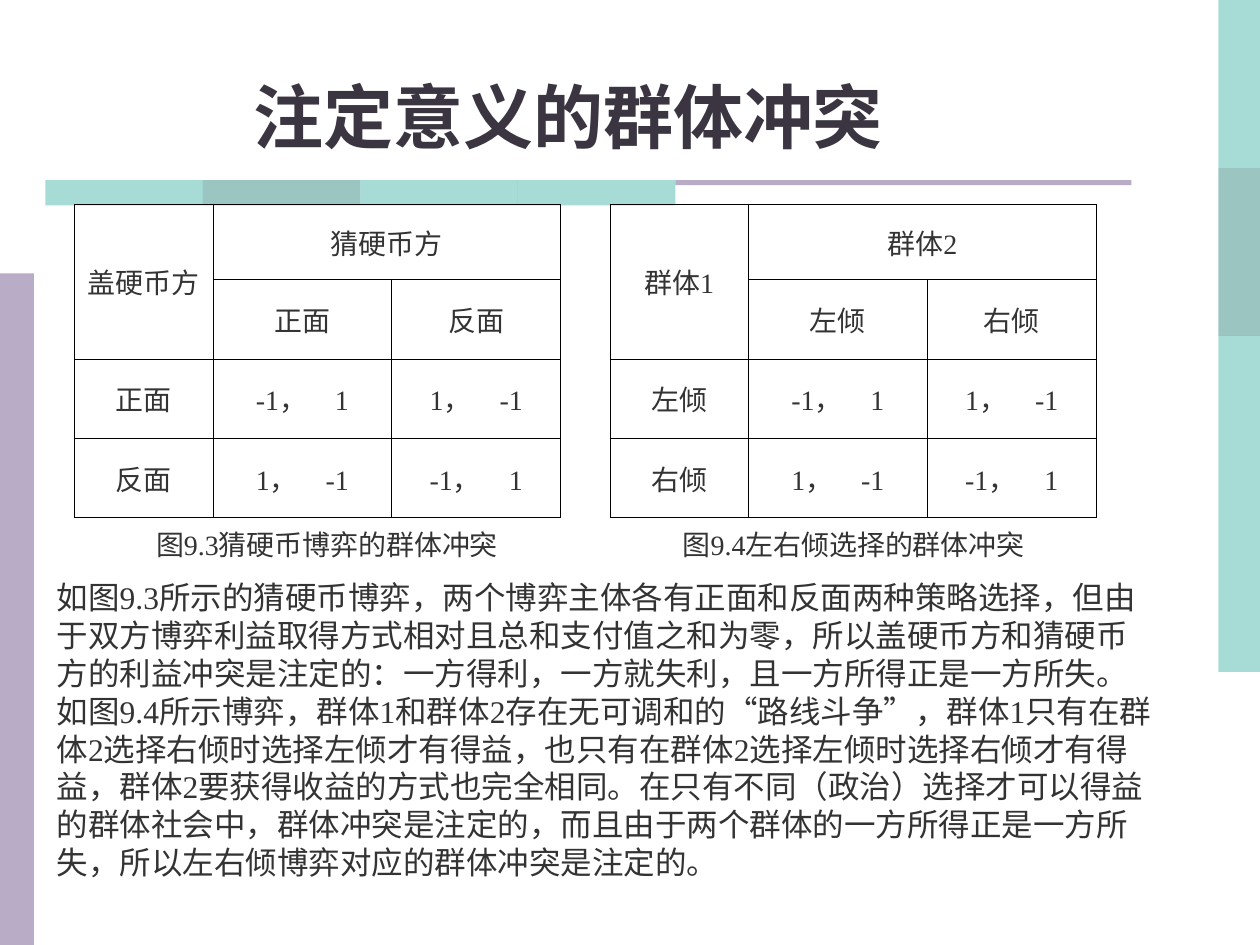
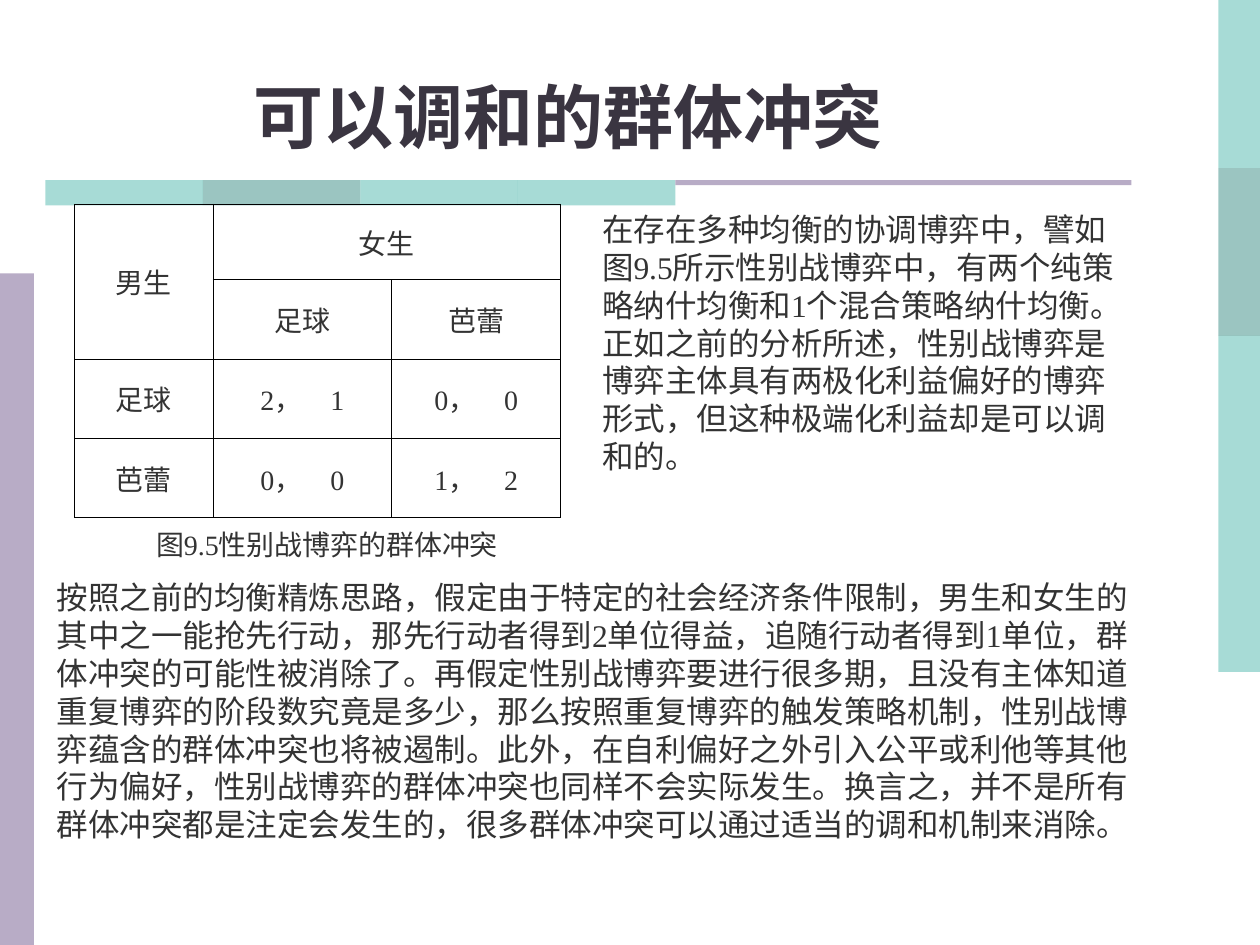
import dataclasses

import lxml.etree
import pptx
import pptx.dml.color
import pptx.enum.shapes
import pptx.enum.text
import pptx.oxml.ns
import pptx.util

Inches = pptx.util.Inches
Pt = pptx.util.Pt
RGB = pptx.dml.color.RGBColor.from_string
ALIGN = pptx.enum.text.PP_ALIGN
ANCHOR = pptx.enum.text.MSO_ANCHOR
AUTO_SIZE = pptx.enum.text.MSO_AUTO_SIZE
qn = pptx.oxml.ns.qn


@dataclasses.dataclass(frozen=True)
class Theme:
    teal: str = "51B9AF"
    dark_teal: str = "398D85"
    lilac: str = "B8ACC6"
    heading: str = "3A3541"
    text: str = "333333"
    border: str = "000000"
    font: str = "Times New Roman"
    quote_font: str = "Roboto Slab"
    title_size: int = 40
    body_size: int = 18
    table_size: int = 16
    border_width: float = 0.45
    tile_alpha: int = 50


class Deck:
    def __init__(self, theme):
        self.theme = theme
        self.prs = pptx.Presentation()
        self.prs.slide_width = Inches(10)
        self.prs.slide_height = Inches(7.5)
        self.s = None

    def slide(self, title):
        self.s = self.prs.slides.add_slide(self.prs.slide_layouts[1])
        self.bands()
        self.title(title)

    def bands(self):
        t = self.theme
        for i, color in enumerate((t.teal, t.dark_teal, t.teal, t.teal)):
            self.rect(9.67, i * 4 / 3, 0.33, 4 / 3, color, t.tile_alpha)
            self.rect(0.36 + i * 1.25, 1.43, 1.25, 0.2, color, t.tile_alpha)
        self.rect(0, 2.17, 0.27, 5.33, t.lilac)
        self.rect(5.36, 1.43, 3.62, 0.04, t.lilac)

    def rect(self, left, top, width, height, color, alpha=None):
        sp = self.s.shapes.add_shape(
            pptx.enum.shapes.MSO_SHAPE.RECTANGLE,
            Inches(left), Inches(top), Inches(width), Inches(height))
        sp.shadow.inherit = False
        sp.line.fill.background()
        sp.fill.solid()
        sp.fill.fore_color.rgb = RGB(color)
        if alpha:
            clr = sp.element.spPr.find(".//" + qn("a:srgbClr"))
            lxml.etree.SubElement(clr, qn("a:alpha"), val=str(alpha * 1000))

    def place(self, sp, left, top, width, height):
        sp.left, sp.top = Inches(left), Inches(top)
        sp.width, sp.height = Inches(width), Inches(height)

    def run(self, p, text, size, color=None, bold=False, font=None):
        r = p.add_run()
        r.text = text
        r.font.name = font or self.theme.font
        r.font.size = Pt(size)
        r.font.bold = bold
        r.font.color.rgb = RGB(color or self.theme.text)

    def title(self, text):
        sp = self.s.shapes.title
        self.place(sp, 0, 0.44, 9.02, 0.86)
        tf = sp.text_frame
        tf.auto_size = AUTO_SIZE.NONE
        tf.vertical_anchor = ANCHOR.BOTTOM
        p = tf.paragraphs[0]
        p.alignment = ALIGN.CENTER
        self.run(p, text, self.theme.title_size, self.theme.heading, True)

    def body(self, height, *paragraphs):
        sp = self.s.placeholders[1]
        self.place(sp, 0.35, 4.54, 8.9, height)
        tf = sp.text_frame
        tf.auto_size = AUTO_SIZE.SHAPE_TO_FIT_TEXT
        for i, runs in enumerate(paragraphs):
            p = tf.add_paragraph() if i else tf.paragraphs[0]
            p.space_before = Pt(0)
            pPr = p._p.get_or_add_pPr()
            pPr.set("marL", "0")
            pPr.set("indent", "0")
            lxml.etree.SubElement(pPr, qn("a:buNone"))
            for text, font in runs:
                self.run(p, text, self.theme.body_size, font=font)

    def textbox(self, left, top, width, height, text, size, wrap=True):
        sp = self.s.shapes.add_textbox(
            Inches(left), Inches(top), Inches(width), Inches(height))
        tf = sp.text_frame
        tf.word_wrap = wrap
        tf.auto_size = AUTO_SIZE.SHAPE_TO_FIT_TEXT
        self.run(tf.paragraphs[0], text, size)

    def caption(self, left, text):
        self.textbox(left, 4.14, 3.02, 0.37, text, self.theme.table_size, False)

    def game(self, left, row_player, col_player, choices, payoffs):
        widths, heights = (1.1, 1.42, 1.34), (0.6, 0.63, 0.63, 0.63)
        table = self.s.shapes.add_table(
            4, 3, Inches(left), Inches(1.62),
            Inches(sum(widths)), Inches(sum(heights))).table
        table.first_row = table.horz_banding = False
        for column, width in zip(table.columns, widths):
            column.width = Inches(width)
        for row, height in zip(table.rows, heights):
            row.height = Inches(height)
        grid = [(row_player, col_player, ""), ("", *choices)]
        grid += [(choice, *pairs) for choice, pairs in zip(choices, payoffs)]
        for i, texts in enumerate(grid):
            for j, text in enumerate(texts):
                self.cell(table.cell(i, j), text)
        table.cell(0, 0).merge(table.cell(1, 0))
        table.cell(0, 1).merge(table.cell(0, 2))

    def cell(self, cell, text):
        tcPr = cell._tc.get_or_add_tcPr()
        for side in ("a:lnL", "a:lnR", "a:lnT", "a:lnB"):
            ln = lxml.etree.SubElement(
                tcPr, qn(side), w=str(Pt(self.theme.border_width)))
            fill = lxml.etree.SubElement(ln, qn("a:solidFill"))
            lxml.etree.SubElement(fill, qn("a:srgbClr"), val=self.theme.border)
        cell.fill.background()
        cell.vertical_anchor = ANCHOR.MIDDLE
        if text:
            p = cell.text_frame.paragraphs[0]
            p.alignment = ALIGN.CENTER
            self.run(p, text, self.theme.table_size)


def main():
    theme = Theme()
    deck = Deck(theme)
    zero_sum = (("-1，　1", "1，　-1"), ("1，　-1", "-1，　1"))

    deck.slide("注定意义的群体冲突")
    deck.game(0.59, "盖硬币方", "猜硬币方", ("正面", "反面"), zero_sum)
    deck.caption(1.14, "图9.3猜硬币博弈的群体冲突")
    deck.game(4.84, "群体1", "群体2", ("左倾", "右倾"), zero_sum)
    deck.caption(5.32, "图9.4左右倾选择的群体冲突")
    deck.body(
        2.5,
        [("如图9.3所示的猜硬币博弈，两个博弈主体各有正面和反面两种策略选择，"
          "但由于双方博弈利益取得方式相对且总和支付值之和为零，"
          "所以盖硬币方和猜硬币方的利益冲突是注定的：一方得利，一方就失利，"
          "且一方所得正是一方所失。", theme.font)],
        [("如图9.4所示博弈，群体1和群体2存在无可调和", theme.font),
         ("的“路线斗争”，群", theme.quote_font),
         ("体1只有在群体2选择右倾时选择左倾才有得益，"
          "也只有在群体2选择左倾时选择右倾才有得益，"
          "群体2要获得收益的方式也完全相同。"
          "在只有不同（政治）选择才可以得益的群体社会中，群体冲突是注定的，"
          "而且由于两个群体的一方所得正是一方所失，"
          "所以左右倾博弈对应的群体冲突是注定的。", theme.font)])

    deck.slide("可以调和的群体冲突")
    deck.game(0.59, "男生", "女生", ("足球", "芭蕾"),
              (("2，　1", "0，　0"), ("0，　0", "1，　2")))
    deck.caption(1.14, "图9.5性别战博弈的群体冲突")
    deck.textbox(
        4.68, 1.62, 4.33, 2.2,
        "在存在多种均衡的协调博弈中，譬如图9.5所示性别战博弈中，"
        "有两个纯策略纳什均衡和1个混合策略纳什均衡。正如之前的分析所述，"
        "性别战博弈是博弈主体具有两极化利益偏好的博弈形式，"
        "但这种极端化利益却是可以调和的。", theme.body_size)
    deck.body(
        2.2,
        [("按照之前的均衡精炼思路，假定由于特定的社会经济条件限制，"
          "男生和女生的其中之一能抢先行动，那先行动者得到2单位得益，"
          "追随行动者得到1单位，群体冲突的可能性被消除了。"
          "再假定性别战博弈要进行很多期，且没有主体知道重复博弈的阶段数究竟是多少，"
          "那么按照重复博弈的触发策略机制，性别战博弈蕴含的群体冲突也将被遏制。"
          "此外，在自利偏好之外引入公平或利他等其他行为偏好，"
          "性别战博弈的群体冲突也同样不会实际发生。"
          "换言之，并不是所有群体冲突都是注定会发生的，"
          "很多群体冲突可以通过适当的调和机制来消除。", theme.font)])

    deck.prs.save("out.pptx")


if __name__ == "__main__":
    main()
